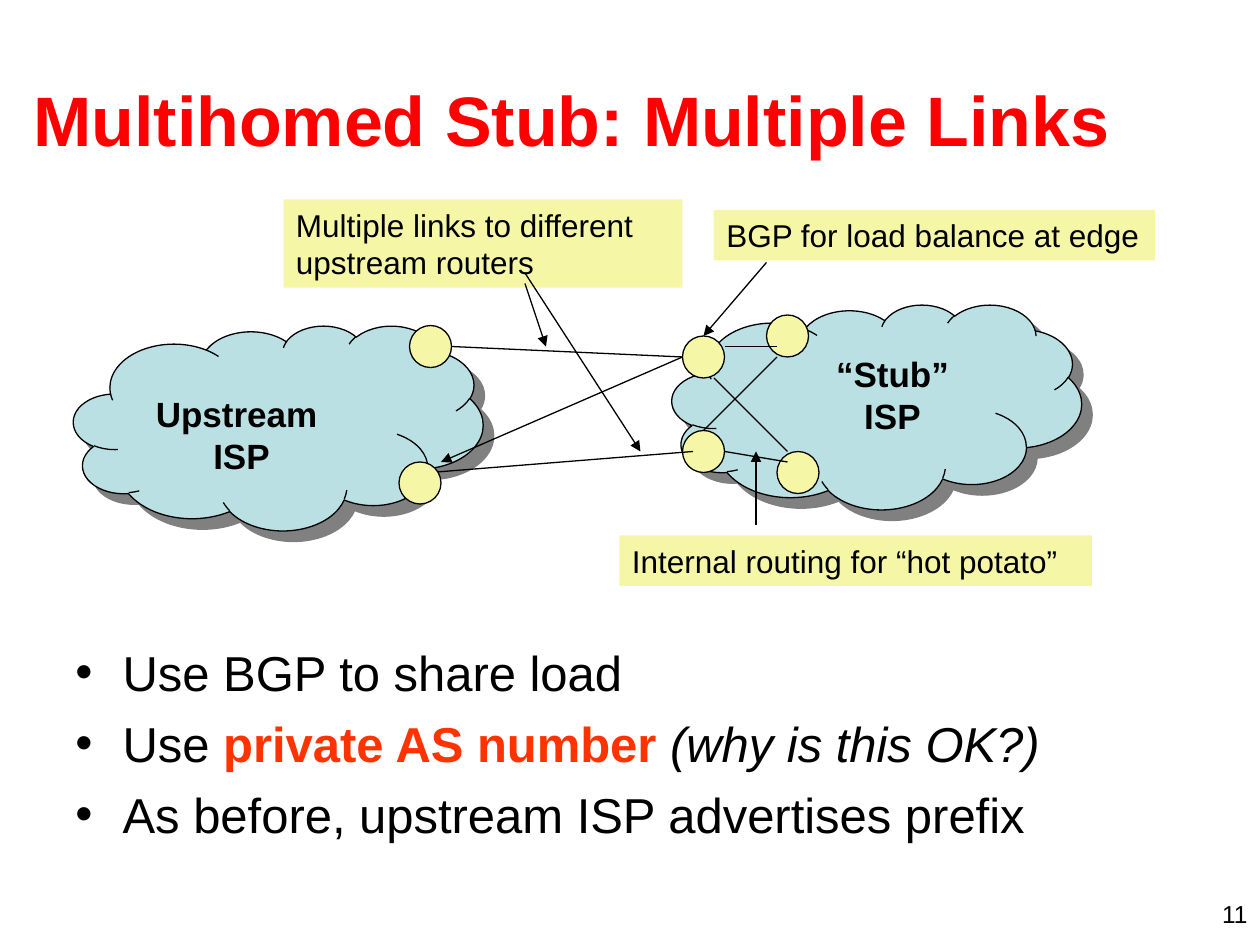
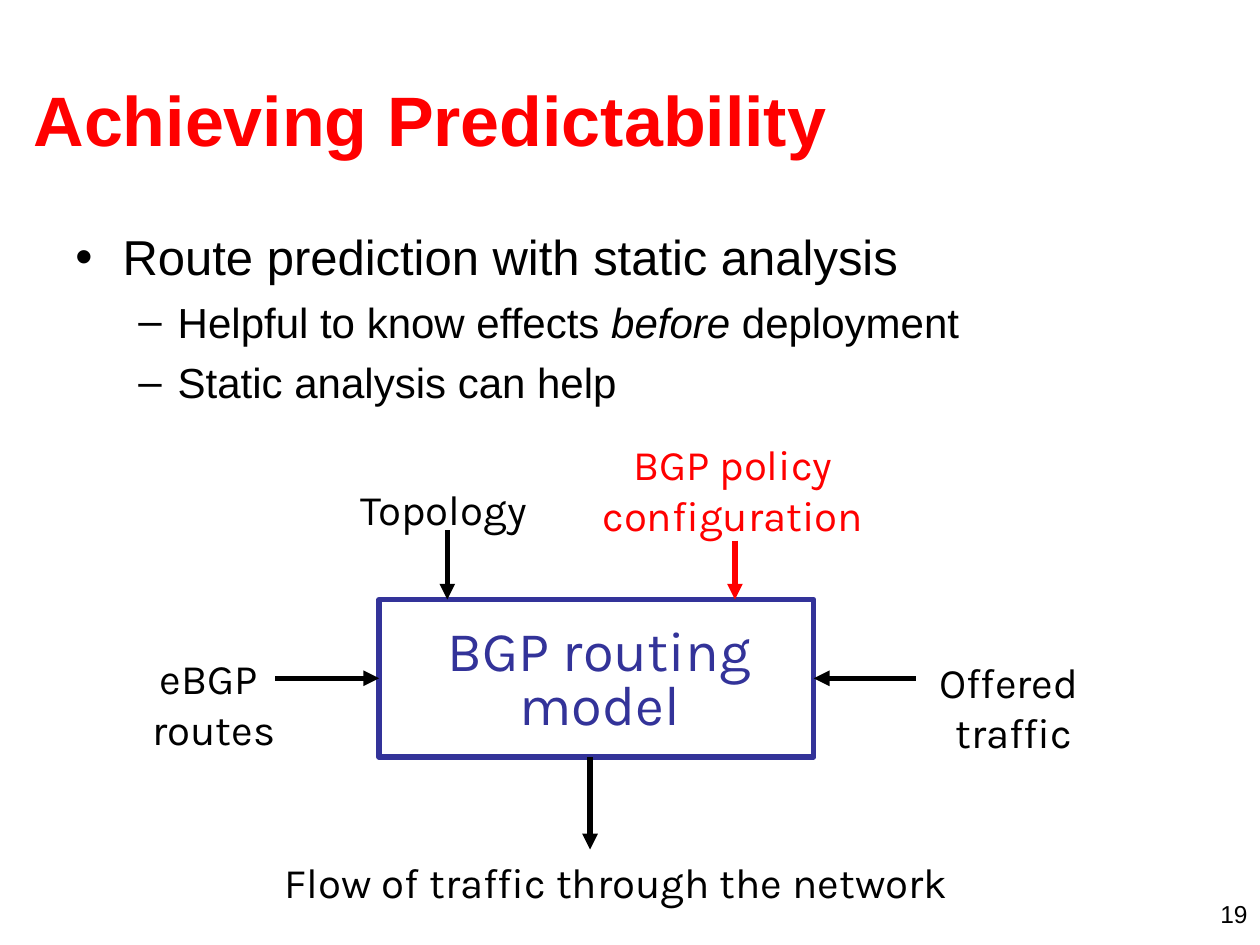
from lxml import etree
from pptx import Presentation
from pptx.dml.color import RGBColor
from pptx.enum.shapes import MSO_CONNECTOR, MSO_SHAPE
from pptx.enum.text import MSO_ANCHOR, PP_ALIGN
from pptx.oxml import parse_xml
from pptx.oxml.ns import nsdecls, qn
from pptx.util import Inches, Pt

prs = Presentation()
prs.slide_width, prs.slide_height = Inches(10), Inches(7.5)
CELL = prs.slide_width / 120  # grid of 120 columns by 90 rows

rgb = RGBColor.from_string
BLACK, RED, ORANGE, NAVY = "000000", "FF0000", "FF3300", "333399"
CLOUD, YELLOW, SHADE = "BBE0E3", "F5F7A7", "808080"
PLAIN, ITALIC, KEY = (BLACK, False, False), (BLACK, False, True), (ORANGE, True, False)


def write(s, box, text, size, color=BLACK, font="Arial", align=PP_ALIGN.CENTER,
          bold=False, wrap=True):
    sp = s.shapes.add_textbox(*[int(v * CELL) for v in box])
    tf = sp.text_frame
    tf.word_wrap = wrap
    tf.text = text
    for p in tf.paragraphs:
        p.alignment = align
        for r in p.runs:
            r.font.name, r.font.size, r.font.bold = font, Pt(size), bold
            r.font.color.rgb = rgb(color)
    return sp


def connect(s, ends, color=BLACK, width=0.75, arrow=False):
    c = s.shapes.add_connector(MSO_CONNECTOR.STRAIGHT, *[int(v * CELL) for v in ends])
    c.line.color.rgb, c.line.width = rgb(color), Pt(width)
    if arrow:
        etree.SubElement(c.line._get_or_add_ln(), qn("a:tailEnd"), type="triangle")
    etree.SubElement(c._element.spPr, qn("a:effectLst"))
    return c


# Title, bullets and number of each slide
pages = [
    ("Multihomed Stub: Multiple Links", "11", (6, 60.6, 108, 21.4), [
        (0, [("Use BGP to share load", PLAIN)]),
        (0, [("Use ", PLAIN), ("private AS number", KEY), (" (why is this OK?)", ITALIC)]),
        (0, [("As before, upstream ISP advertises prefix", PLAIN)])]),
    ("Achieving Predictability", "19", (6, 21, 108, 59.4), [
        (0, [("Route prediction with static analysis", PLAIN)]),
        (1, [("Helpful to know effects ", PLAIN), ("before", ITALIC),
             (" deployment", PLAIN)]),
        (1, [("Static analysis can help", PLAIN)])]),
]
# Per level: bullet, text size, left margin, hanging indent, space before
levels = [("•", 28, 4.5, -4.5, 7), ("–", 24, 9.75, -3.75, 6)]

for title, number, box, bullets in pages:
    s = prs.slides.add_slide(prs.slide_layouts[5])
    sp = s.shapes.title
    sp.left, sp.top, sp.width, sp.height = [int(v * CELL) for v in (2, 3.8, 115, 15)]
    tf = sp.text_frame
    tf.text = title
    tf.vertical_anchor = MSO_ANCHOR.MIDDLE
    p = tf.paragraphs[0]
    p.alignment = PP_ALIGN.LEFT
    f = p.runs[0].font
    f.name, f.size, f.bold = "Arial", Pt(40), True
    f.color.rgb = rgb(RED)

    tf = s.shapes.add_textbox(*[int(v * CELL) for v in box]).text_frame
    tf.word_wrap = True
    for i, (level, runs) in enumerate(bullets):
        p = tf.paragraphs[0] if i == 0 else tf.add_paragraph()
        p.level = level
        char, size, margin, indent, before = levels[level]
        pPr = p._p.get_or_add_pPr()
        pPr.set("marL", str(int(margin * CELL)))
        pPr.set("indent", str(int(indent * CELL)))
        color = etree.SubElement(pPr, qn("a:buClr"))
        etree.SubElement(color, qn("a:srgbClr"), val=BLACK)
        etree.SubElement(pPr, qn("a:buFont"), typeface="Arial")
        etree.SubElement(pPr, qn("a:buChar"), char=char)
        if i:
            p.space_before = Pt(before)
        for text, (color, bold, italic) in runs:
            r = p.add_run()
            r.text = text
            r.font.name, r.font.size = "Arial", Pt(size)
            r.font.bold, r.font.italic = bold, italic
            r.font.color.rgb = rgb(color)

    write(s, (92, 85, 28, 3), number, 14, align=PP_ALIGN.RIGHT)

stub, model = prs.slides

# Multihomed stub: clouds and their names
for left, top, name, box in [(7, 31, "Upstream \vISP", (12, 36.8, 22, 9.2)),
                             (64, 29, "“Stub”\vISP", (78, 33, 14, 9.2))]:
    sp = stub.shapes.add_shape(
        MSO_SHAPE.CLOUD, *[int(v * CELL) for v in (left, top, 39, 19.5)])
    sp.fill.solid()
    sp.fill.fore_color.rgb = rgb(CLOUD)
    sp.line.color.rgb, sp.line.width = rgb(BLACK), Pt(0.75)
    sp._element.spPr.append(parse_xml(
        f'<a:effectLst {nsdecls("a")}><a:outerShdw dist="{Pt(8.5)}" dir="2700000" '
        f'algn="ctr" rotWithShape="0"><a:srgbClr val="{SHADE}"/></a:outerShdw>'
        '</a:effectLst>'))
    write(stub, box, name, 20, bold=True)

# Notes
for box, text in [((27, 19, 38, 8.4), "Multiple links to different upstream routers"),
                  ((68, 20, 42, 4.8), "BGP for load balance at edge"),
                  ((59, 51, 45, 4.8), "Internal routing for “hot potato”")]:
    sp = write(stub, box, text, 18, align=PP_ALIGN.LEFT)
    sp.fill.solid()
    sp.fill.fore_color.rgb = rgb(YELLOW)

# Routers, then the links and pointers that lie over them
outer = ([(39, 31), (65, 41)],
         [(43, 33, 65, 34, False), (41, 45, 66, 43, False)])
inner = ([(38, 44), (65, 32), (73, 30), (74, 43)],
         [(50, 27, 52, 33, True), (50, 26, 61, 43, True), (65, 34, 42, 44, True),
          (74, 33, 69, 33, False), (75, 44, 69, 43, False), (75, 43, 68, 36, False),
          (74, 34, 67, 41, False), (72, 50, 72, 43, True), (73, 25, 67, 32, True)])
for routers, links in (outer, inner):
    for left, top in routers:
        sp = stub.shapes.add_shape(
            MSO_SHAPE.OVAL, *[int(v * CELL) for v in (left, top, 4, 4)])
        sp.shadow.inherit = False
        sp.fill.solid()
        sp.fill.fore_color.rgb = rgb(YELLOW)
        sp.line.color.rgb, sp.line.width = rgb(BLACK), Pt(0.75)
    for *ends, arrow in links:
        connect(stub, ends, arrow=arrow)

# Predictability: model box
box = model.shapes.add_shape(
    MSO_SHAPE.RECTANGLE, *[int(v * CELL) for v in (36.1, 57.1, 41.4, 15)])
box.shadow.inherit = False
box.fill.background()
box.line.color.rgb, box.line.width = rgb(NAVY), Pt(3)
sp = write(model, (40.6, 58, 33, 12.7), "BGP routing\nmodel", 32, NAVY, "Karla", wrap=False)
sp.text_frame.paragraphs[1].line_spacing = 0.8

# Inputs and output, with the side of the box that an arrow joins
flows = [
    ("Topology", (32.4, 45.5, 19.8, 6), (42.6, 50.5, 42.6, 57.1), BLACK, None),
    ("BGP policy\nconfiguration", (55.9, 41.2, 27.8, 10.8), (70, 51.5, 70, 57.1), RED, None),
    ("eBGP \nroutes", (13.1, 61.6, 14.5, 10.8), (26.2, 64.6, 36.1, 64.6), BLACK, 1),
    ("Offered \ntraffic", (87.6, 61.9, 17.9, 10.8), (87.2, 64.6, 77.5, 64.6), BLACK, 3),
    ("Flow of traffic through the network", (24.6, 81, 68.2, 6),
     (56.2, 72.1, 56.2, 80.9), BLACK, None),
]
for text, place, ends, color, side in flows:
    write(model, place, text, 24, color, "Karla", wrap=False)
    c = connect(model, ends, color, 3, arrow=True)
    if side is not None:
        c.end_connect(box, side)

prs.save("out.pptx")
